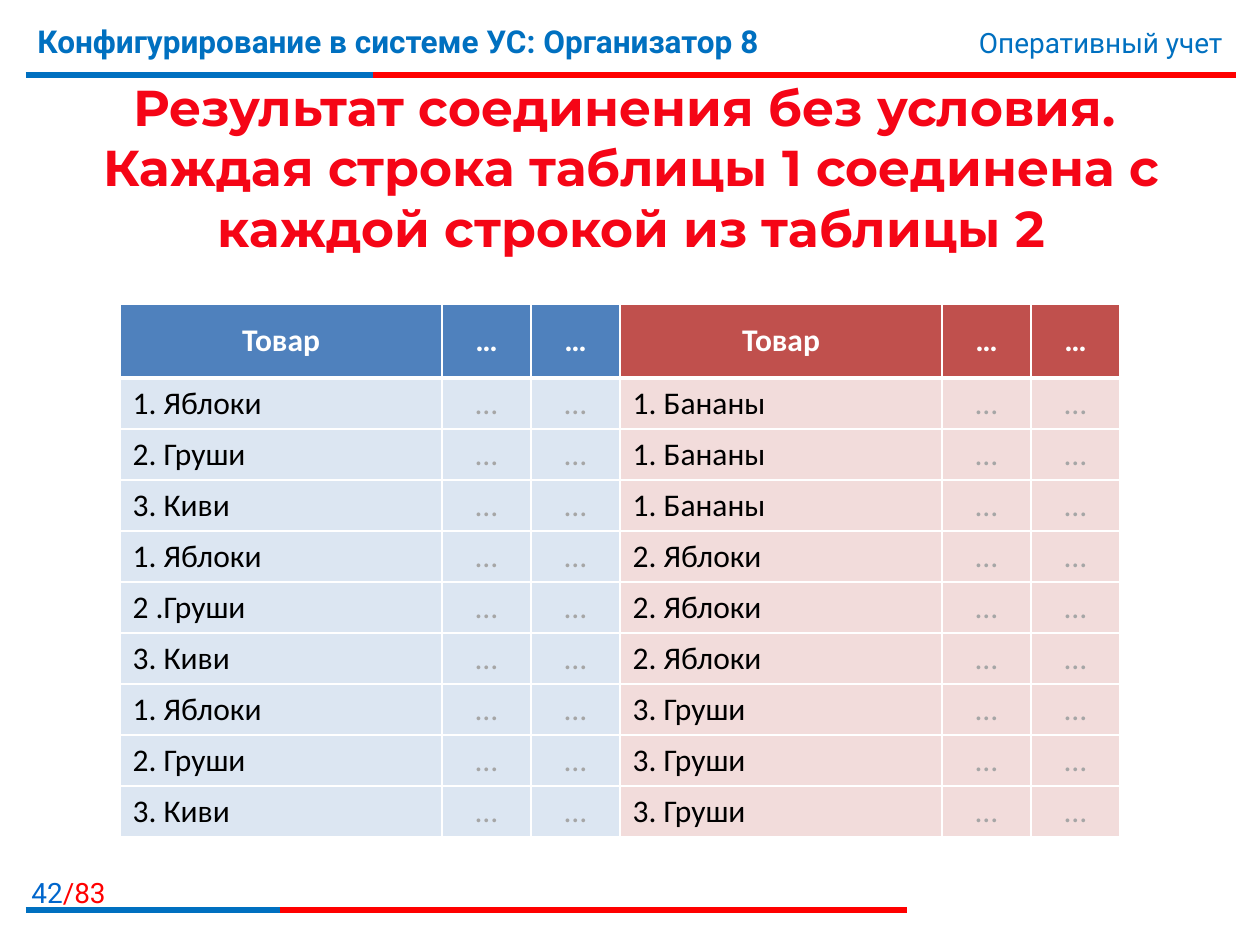
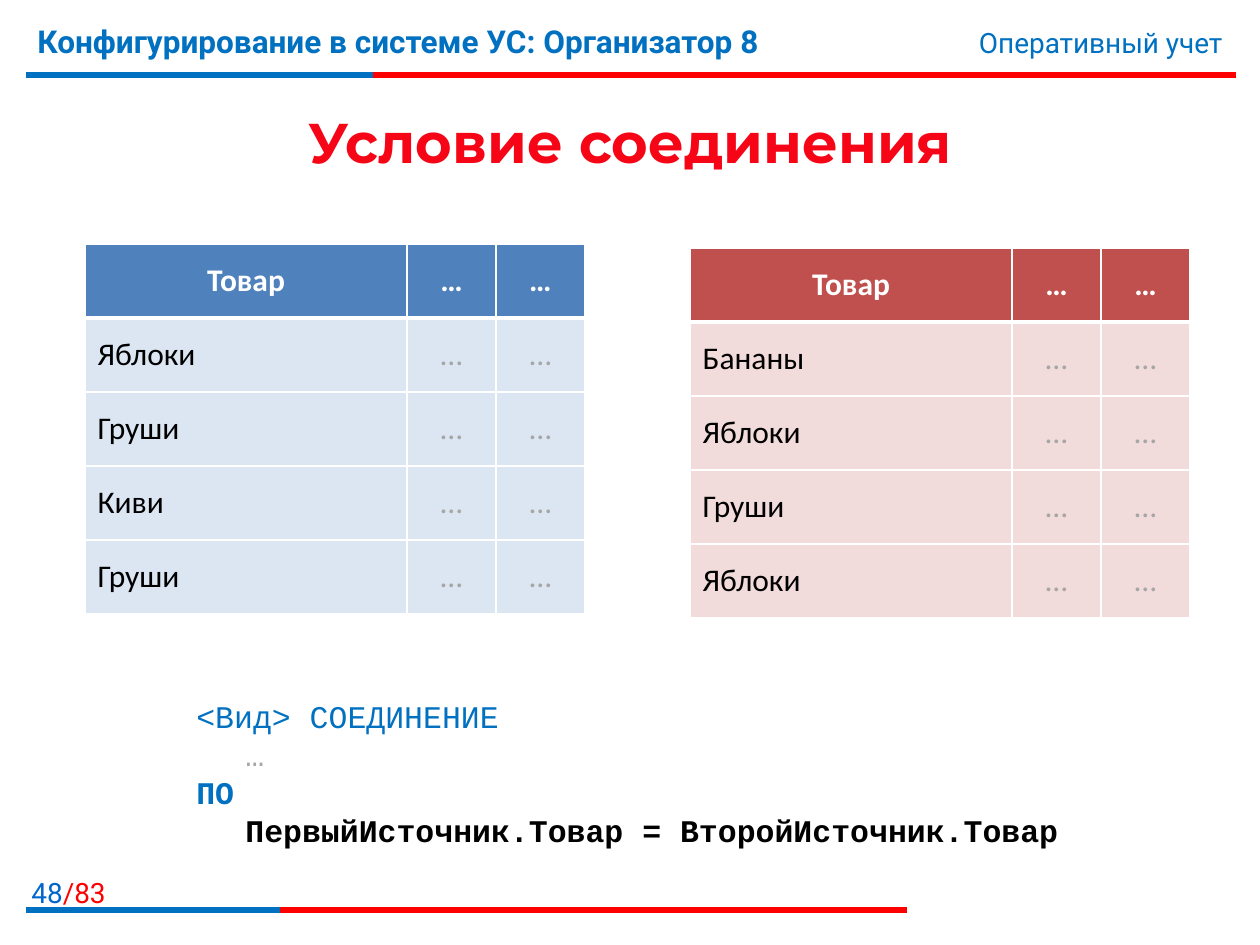
from lxml import etree
from pptx import Presentation
from pptx.dml.color import RGBColor
from pptx.enum.shapes import MSO_CONNECTOR
from pptx.enum.text import MSO_ANCHOR, MSO_AUTO_SIZE, PP_ALIGN
from pptx.oxml.ns import qn
from pptx.util import Pt

SCALE = 914400 / 126  # EMU in one px
SLIDE_WIDTH, SLIDE_HEIGHT = 1260, 945

STRAIGHT = MSO_CONNECTOR.STRAIGHT
LEFT, CENTER, RIGHT = PP_ALIGN.LEFT, PP_ALIGN.CENTER, PP_ALIGN.RIGHT
MIDDLE = MSO_ANCHOR.MIDDLE
NO_AUTOFIT = MSO_AUTO_SIZE.NONE

WHITE = RGBColor(0xFF, 0xFF, 0xFF)
BLACK = RGBColor(0x00, 0x00, 0x00)
GRAY = RGBColor(0xA6, 0xA6, 0xA6)
RED = RGBColor(0xFF, 0x00, 0x00)
BLUE = RGBColor(0x00, 0x70, 0xC0)
PAGE_BLUE = RGBColor(0x00, 0x66, 0xCC)
TITLE_RED = RGBColor(0xF5, 0x05, 0x16)
# Each pair holds the header fill and the body fill of a table
BLUE_TABLE = RGBColor(0x4F, 0x81, 0xBD), RGBColor(0xDC, 0xE6, 0xF2)
RED_TABLE = RGBColor(0xC0, 0x50, 0x4D), RGBColor(0xF2, 0xDC, 0xDB)

COURSE = "Конфигурирование в системе УС: Организатор 8"
TOPIC = "Оперативный учет"
PAGE_COUNT = 83

COLUMN_WIDTHS = 322, 89, 89
TABLE_HEADER_HEIGHT = 74
TABLE_HEADER = "Товар"
OTHER_FIELDS = "…"
CODE_INDENT = 49


def emu(px):
    return round(px * SCALE)


def text_format(name, size, color, bold=False):
    return {"name": name, "size": Pt(size), "color": color, "bold": bold}


class Deck:
    """Holds the shared style and the slide being built."""

    def __init__(self):
        self.presentation = Presentation()
        self.presentation.slide_width = emu(SLIDE_WIDTH)
        self.presentation.slide_height = emu(SLIDE_HEIGHT)
        self.slide = None

    def add_slide(self, page, title, title_box, title_size):
        layout = self.presentation.slide_layouts[5]
        self.slide = self.presentation.slides.add_slide(layout)
        self.add_rule(75, 1236, 373)
        self.add_rule(910, 907, 280)
        self.add_text((25, 16, 800, 47), [(COURSE, text_format("Roboto", 18, BLUE, True))])
        self.add_text((840, 19, 395, 47), [(TOPIC, text_format("Roboto", 16, BLUE))], RIGHT)
        self.add_text((0, 869, 118, 40), [
            (str(page), text_format("Roboto", 16, PAGE_BLUE)),
            (f"/{PAGE_COUNT}", text_format("Roboto", 16, RED)),
        ], RIGHT)
        self.set_title(title, title_box, title_size)

    def set_title(self, text, box, size):
        shape = self.slide.shapes.title
        self.place(shape, box)
        frame = shape.text_frame
        frame.text = text
        frame.auto_size = NO_AUTOFIT
        frame.vertical_anchor = MIDDLE
        paragraph = frame.paragraphs[0]
        paragraph.alignment = CENTER
        for run in paragraph.runs:
            self.format_font(run.font, text_format("Montserrat", size, TITLE_RED, True))

    def add_rule(self, y, red_end, blue_end):
        """Draw a red line whose first part is blue."""
        for end, color in ((red_end, RED), (blue_end, BLUE)):
            line = self.slide.shapes.add_connector(
                STRAIGHT, emu(26), emu(y), emu(end), emu(y))
            line.line.color.rgb = color
            line.line.width = Pt(3)
            etree.SubElement(line._element.spPr, qn("a:effectLst"))

    def add_text(self, box, runs, alignment=LEFT):
        shape = self.slide.shapes.add_textbox(*map(emu, box))
        frame = shape.text_frame
        frame.word_wrap = True
        self.fill_paragraph(frame.paragraphs[0], runs, alignment)

    def add_code(self, box, lines):
        """Add code given as (text, colour, bold, indent) lines."""
        frame = self.slide.shapes.add_textbox(*map(emu, box)).text_frame
        frame.word_wrap = False
        for index, (text, color, bold, indent) in enumerate(lines):
            paragraph = frame.add_paragraph() if index else frame.paragraphs[0]
            paragraph.line_spacing = Pt(21.8)
            paragraph._p.get_or_add_pPr().set("marL", str(emu(indent)))
            self.fill_paragraph(
                paragraph, [(text, text_format("Courier New", 18, color, bold))], LEFT)

    def add_goods_table(self, left, top, goods, fills, row_height):
        graphic = self.slide.shapes.add_table(
            len(goods) + 1, len(COLUMN_WIDTHS), emu(left), emu(top),
            emu(sum(COLUMN_WIDTHS)), emu(TABLE_HEADER_HEIGHT + row_height * len(goods)))
        table = graphic.table
        for column, width in zip(table.columns, COLUMN_WIDTHS):
            column.width = emu(width)
        for row_index, name in enumerate([TABLE_HEADER, *goods]):
            is_header = row_index == 0
            table.rows[row_index].height = emu(
                TABLE_HEADER_HEIGHT if is_header else row_height)
            for column_index, text in enumerate((name, OTHER_FIELDS, OTHER_FIELDS)):
                is_name = column_index == 0
                color = WHITE if is_header else BLACK if is_name else GRAY
                cell = table.cell(row_index, column_index)
                self.set_borders(cell, top=3 if row_index == 1 else 1,
                                 bottom=3 if is_header else 1)
                cell.fill.solid()
                cell.fill.fore_color.rgb = fills[0 if is_header else 1]
                cell.vertical_anchor = MIDDLE
                self.fill_paragraph(
                    cell.text_frame.paragraphs[0],
                    [(text, text_format("Calibri", 18, color, is_header))],
                    LEFT if is_name and not is_header else CENTER)

    @staticmethod
    def set_borders(cell, top, bottom):
        properties = cell._tc.get_or_add_tcPr()
        for tag, width in (("lnL", 1), ("lnR", 1), ("lnT", top), ("lnB", bottom)):
            line = etree.SubElement(properties, qn(f"a:{tag}"), w=str(Pt(width)))
            fill = etree.SubElement(line, qn("a:solidFill"))
            etree.SubElement(fill, qn("a:srgbClr"), val=str(WHITE))

    @staticmethod
    def place(shape, box):
        for name, value in zip(("left", "top", "width", "height"), box):
            setattr(shape, name, emu(value))

    def fill_paragraph(self, paragraph, runs, alignment):
        paragraph.alignment = alignment
        for text, values in runs:
            run = paragraph.add_run()
            run.text = text
            self.format_font(run.font, values)

    @staticmethod
    def format_font(font, values):
        for name, value in values.items():
            if name == "color":
                font.color.rgb = value
            else:
                setattr(font, name, value)


def build_cross_join(deck):
    deck.add_slide(
        42,
        "Результат соединения без условия. \v"
        "Каждая строка таблицы 1 соединена с каждой строкой из таблицы 2",
        (26, 79, 1211, 175), 28.8)
    first_goods = ["1. Яблоки", "2. Груши", "3. Киви",
                   "1. Яблоки", "2 .Груши", "3. Киви",
                   "1. Яблоки", "2. Груши", "3. Киви"]
    second_goods = [name for name in ("1. Бананы", "2. Яблоки", "3. Груши")
                    for _ in range(3)]
    deck.add_goods_table(120, 304, first_goods, BLUE_TABLE, 51)
    deck.add_goods_table(620, 304, second_goods, RED_TABLE, 51)


def build_join_condition(deck):
    deck.add_slide(48, "Условие соединения", (25, 73, 1211, 137), 32)
    deck.add_goods_table(85, 244, ["Яблоки", "Груши", "Киви", "Груши"], BLUE_TABLE, 74)
    deck.add_goods_table(690, 248, ["Бананы", "Яблоки", "Груши", "Яблоки"], RED_TABLE, 74)
    deck.add_code((184, 690, 892, 165), [
        ("<Вид> СОЕДИНЕНИЕ", BLUE, False, 0),
        ("…", GRAY, False, CODE_INDENT),
        ("ПО", BLUE, True, 0),
        ("ПервыйИсточник.Товар = ВторойИсточник.Товар", BLACK, True, CODE_INDENT),
    ])


def main():
    deck = Deck()
    build_cross_join(deck)
    build_join_condition(deck)
    deck.presentation.save("out.pptx")


if __name__ == "__main__":
    main()
